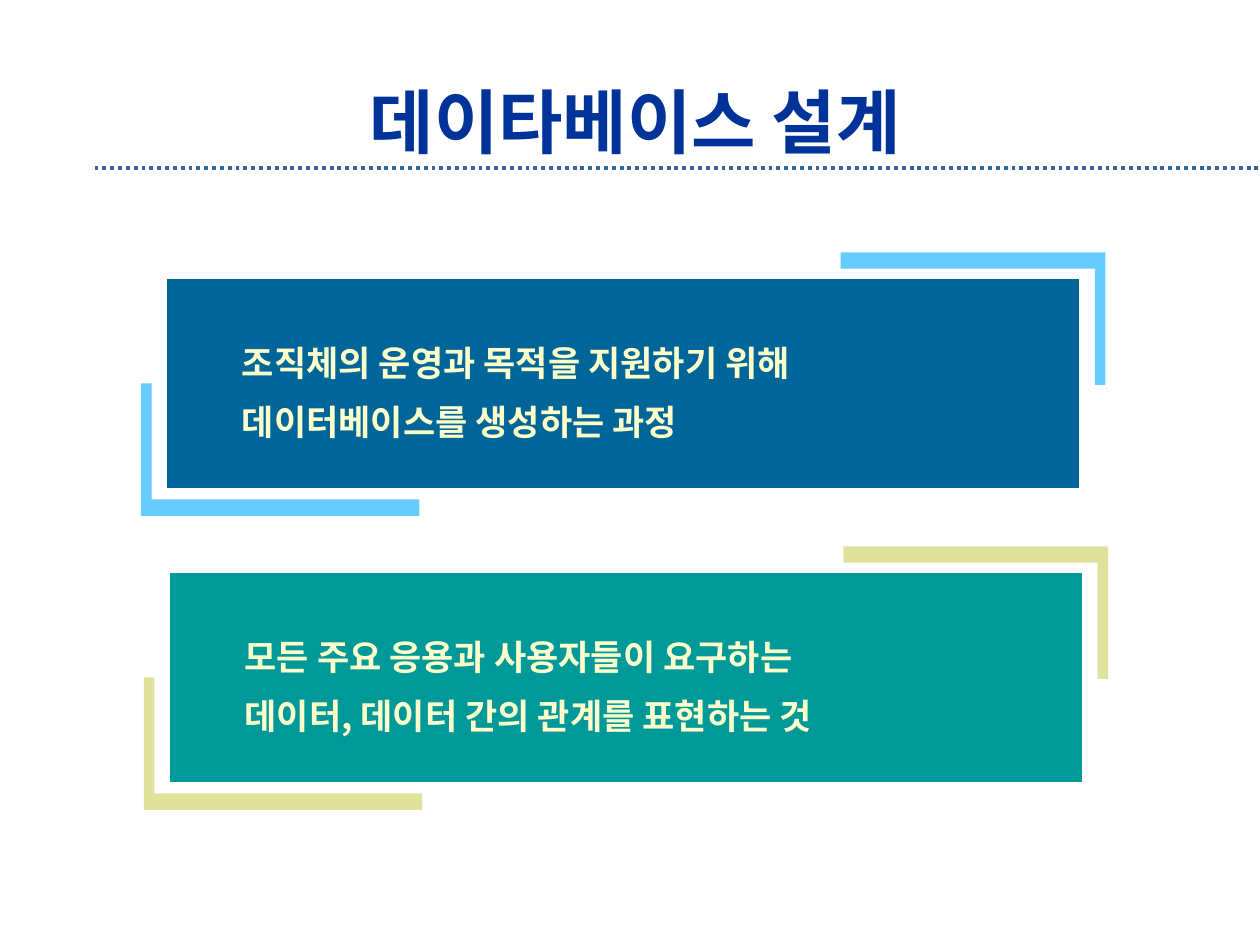
from lxml import etree
from pptx import Presentation
from pptx.dml.color import RGBColor
from pptx.enum.dml import MSO_LINE
from pptx.enum.shapes import MSO_CONNECTOR, MSO_SHAPE
from pptx.enum.text import MSO_ANCHOR, PP_ALIGN
from pptx.oxml.ns import qn
from pptx.util import Pt

DOTTED = MSO_LINE.ROUND_DOT
STRAIGHT = MSO_CONNECTOR.STRAIGHT
RECT = MSO_SHAPE.RECTANGLE
MIDDLE = MSO_ANCHOR.MIDDLE
CENTER, JUSTIFY = PP_ALIGN.CENTER, PP_ALIGN.JUSTIFY

FONT = "Noto Sans CJK KR"
NAVY = RGBColor(0x00, 0x33, 0x99)
STEEL = RGBColor(0x33, 0x66, 0x99)
BLUE = RGBColor(0x00, 0x66, 0x99)
SKY = RGBColor(0x66, 0xCC, 0xFF)
TEAL = RGBColor(0x00, 0x99, 0x99)
OLIVE = RGBColor(0xDF, 0xE2, 0x9A)
CREAM = RGBColor(0xFF, 0xFF, 0xCC)
WHITE = RGBColor(0xFF, 0xFF, 0xFF)


def write(shape, text, size, color, align, indent=0, spacing=1.0):
    """Fill the shape with bold text, one paragraph per line."""
    frame = shape.text_frame
    frame.word_wrap = True
    frame.vertical_anchor = MIDDLE
    frame.text = text
    for para in frame.paragraphs:
        para.alignment = align
        para.line_spacing = spacing
        if indent:
            para.level = 1
            props = para._p.get_or_add_pPr()
            props.set("marL", str(Pt(indent)))
            props.set("indent", "0")
        for run in para.runs:
            font = run.font
            font.size, font.bold, font.name = Pt(size), True, FONT
            font.color.rgb = color
            # Korean glyphs take the East Asian typeface
            etree.SubElement(run._r.get_or_add_rPr(), qn("a:ea"), typeface=FONT)


def add_title(slide, left, top, width, height, text):
    box = slide.shapes.add_textbox(Pt(left), Pt(top), Pt(width), Pt(height))
    write(box, text, 40, NAVY, CENTER)


def add_rule(slide, left, right, y):
    rule = slide.shapes.add_connector(STRAIGHT, Pt(left), Pt(y), Pt(right), Pt(y))
    rule.line.color.rgb = STEEL
    rule.line.width = Pt(2.25)
    rule.line.dash_style = DOTTED
    etree.SubElement(rule._element.spPr, qn("a:effectLst"))


def add_corner(slide, x, y, across, down, color):
    """Draw an L from its outer corner; the signs of the arms give direction."""
    thick_x = 6 if across > 0 else -6
    thick_y = 9.3 if down > 0 else -9.3
    points = [(0, 0), (across, 0), (across, thick_y), (thick_x, thick_y),
              (thick_x, down), (0, down)]
    spots = [(Pt(x + dx), Pt(y + dy)) for dx, dy in points]
    build = slide.shapes.build_freeform(*spots[0])
    build.add_line_segments(spots[1:], close=True)
    corner = build.convert_to_shape()
    corner.shadow.inherit = False
    corner.fill.solid()
    corner.fill.fore_color.rgb = color
    corner.line.fill.background()


def add_panel(slide, left, top, width, height, text, fill, accent):
    gap = 14.5
    right, bottom = left + width, top + height
    add_corner(slide, left - gap, bottom + gap + 1, 159, -75.7, accent)
    add_corner(slide, right + gap, top - gap - 0.5, -151.3, 75.7, accent)
    panel = slide.shapes.add_shape(RECT, Pt(left), Pt(top), Pt(width), Pt(height))
    panel.shadow.inherit = False
    panel.fill.solid()
    panel.fill.fore_color.rgb = fill
    panel.line.color.rgb = WHITE
    panel.line.width = Pt(0.75)
    write(panel, text, 20, CREAM, JUSTIFY, indent=36, spacing=1.4)


def main():
    deck = Presentation()
    deck.slide_width, deck.slide_height = Pt(720), Pt(540)
    slide = deck.slides.add_slide(deck.slide_layouts[6])
    add_rule(slide, 54, 720, 96)
    add_title(slide, 54, 48, 618, 42, "데이타베이스 설계")
    panels = [
        ("조직체의 운영과 목적을 지원하기 위해\n데이터베이스를 생성하는 과정", BLUE, SKY),
        ("모든 주요 응용과 사용자들이 요구하는\n데이터, 데이터 간의 관계를 표현하는 것", TEAL, OLIVE),
    ]
    for row, (text, fill, accent) in enumerate(panels):
        add_panel(slide, 95.2 + 1.5 * row, 159.2 + 168 * row, 522, 120,
                  text, fill, accent)
    deck.save("out.pptx")


if __name__ == "__main__":
    main()
